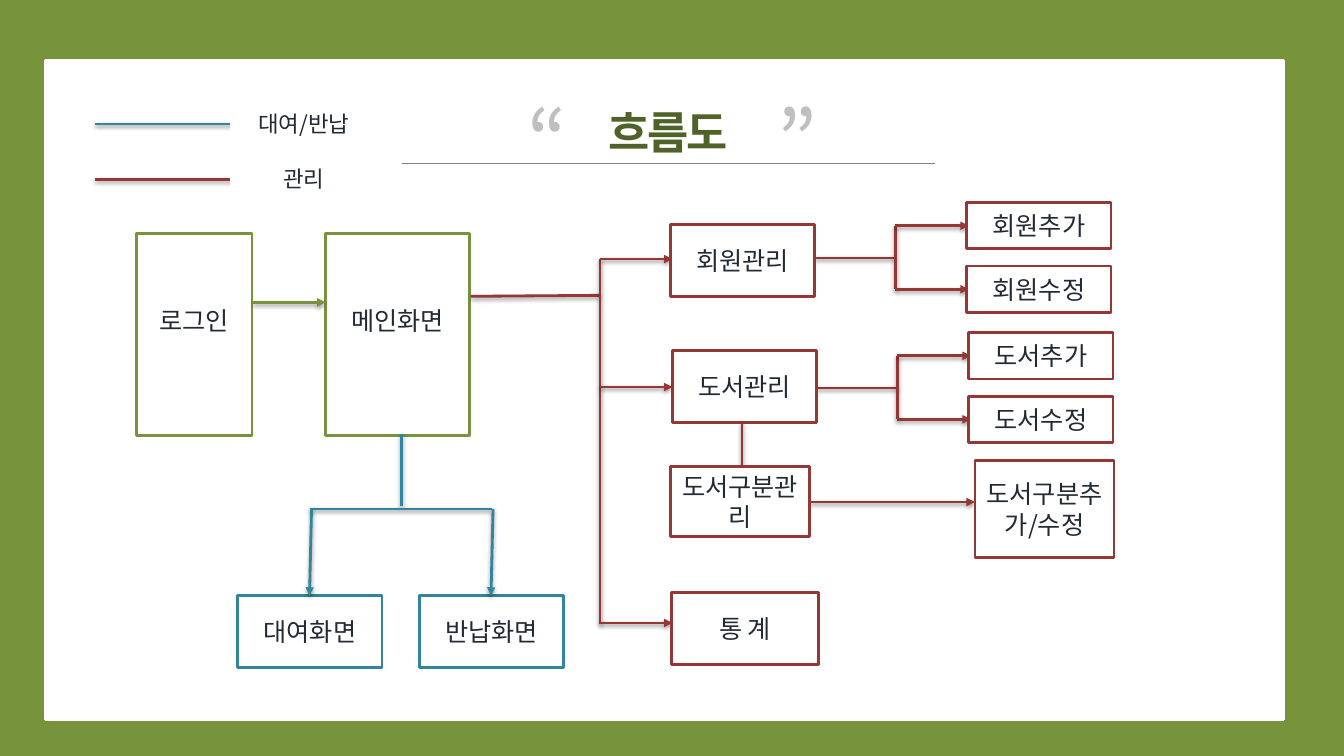
from dataclasses import dataclass

from lxml import etree
from pptx import Presentation
from pptx.dml.color import RGBColor
from pptx.enum.shapes import MSO_CONNECTOR as Connector, MSO_SHAPE as Preset
from pptx.enum.text import MSO_ANCHOR as Anchor, MSO_AUTO_SIZE as AutoSize, PP_ALIGN as Align
from pptx.oxml.ns import qn
from pptx.util import Inches, Pt


@dataclass(frozen=True)
class Theme:
    font: str = "Noto Sans CJK KR"
    green: str = "77933C"
    blue: str = "31859C"
    red: str = "953735"
    white: str = "FFFFFF"
    title: str = "4F6228"
    quote: str = "BFBFBF"
    rule: str = "808080"
    text: str = "222A35"
    quote_size: float = 60
    title_size: float = 32
    label_size: float = 18
    legend_size: float = 16
    line: float = 2
    thin_line: float = 0.75


@dataclass(frozen=True)
class Box:
    left: float
    top: float
    width: float
    height: float

    @property
    def right(self):
        return self.left + self.width

    @property
    def bottom(self):
        return self.top + self.height

    @property
    def middle(self):
        return self.top + self.height / 2

    def inner(self, x, y, width, height):
        return Box(self.left + x, self.top + y, width, height)

    def lengths(self):
        return [Inches(v) for v in (self.left, self.top, self.width, self.height)]


THEME = Theme()


def write(shape, text, size=THEME.label_size, color=THEME.text, bold=False,
          spacing=0, anchor=Anchor.MIDDLE, wrap=True, gap=0, bottom=0.05):
    """Write centred text, one paragraph per line."""
    frame = shape.text_frame
    frame.text = text
    frame.auto_size = AutoSize.NONE
    frame.word_wrap = wrap
    frame.vertical_anchor = anchor
    frame.margin_left = frame.margin_right = Inches(0.1)
    frame.margin_top, frame.margin_bottom = Inches(0.05), Inches(bottom)
    for index, paragraph in enumerate(frame.paragraphs):
        paragraph.alignment = Align.CENTER
        paragraph.space_before = Pt(gap if index else 0)
        for run in paragraph.runs:
            font = run.font
            font.name, font.size, font.bold = THEME.font, Pt(size), bold
            font.color.rgb = RGBColor.from_string(color)
            properties = run._r.get_or_add_rPr()
            if spacing:
                properties.set("spc", str(int(spacing * 100)))
            etree.SubElement(properties, qn("a:ea"), typeface=THEME.font)


def add_panel(slide, box, color, text="", **style):
    shape = slide.shapes.add_shape(Preset.RECTANGLE, *box.lengths())
    shape.shadow.inherit = False
    shape.fill.solid()
    shape.fill.fore_color.rgb = RGBColor.from_string(THEME.white)
    shape.line.color.rgb = RGBColor.from_string(color)
    shape.line.width = Pt(THEME.line)
    if text:
        write(shape, text, **style)


def add_line(slide, start, end, color, arrow=False, width=THEME.line, shadow=True):
    line = slide.shapes.add_connector(
        Connector.STRAIGHT, *[Inches(v) for v in (*start, *end)])
    line.line.color.rgb = RGBColor.from_string(color)
    line.line.width = Pt(width)
    if arrow:
        etree.SubElement(line.line._get_or_add_ln(), qn("a:tailEnd"), type="triangle")
    effects = etree.SubElement(line._element.spPr, qn("a:effectLst"))
    if shadow:
        outer = etree.SubElement(
            effects, qn("a:outerShdw"), blurRad=str(Pt(3.1)), dist=str(Pt(1.6)),
            dir="5400000", rotWithShape="0")
        black = etree.SubElement(outer, qn("a:srgbClr"), val="000000")
        etree.SubElement(black, qn("a:alpha"), val="38000")


# Title between quotation marks, with a rule below
def draw_heading(slide, box):
    for quote, x in (("“", 0.94), ("”", 3.42)):
        mark = slide.shapes.add_textbox(*box.inner(x, 0, 1, box.height).lengths())
        write(mark, quote, size=THEME.quote_size, color=THEME.quote, anchor=Anchor.TOP)
    add_line(slide, (box.left, box.top + 0.79), (box.right, box.top + 0.79),
             THEME.rule, width=THEME.thin_line, shadow=False)
    title = slide.shapes.title
    title.left, title.top, title.width, title.height = box.inner(1.91, 0.16, 1.46, 0.64).lengths()
    write(title, "흐름도", size=THEME.title_size, color=THEME.title, bold=True,
          spacing=-1.5, anchor=Anchor.TOP, wrap=False)


# Line colours and their meaning
def draw_legend(slide, box):
    for y, color in ((0.34, THEME.blue), (0.89, THEME.red)):
        add_line(slide, (box.left + 1.4, box.top + y), (box.left, box.top + y), color)
    add_panel(slide, box.inner(1.36, 0, 1.43, box.height), THEME.white,
              "대여/반납\n관리", size=THEME.legend_size, gap=20)


# Login and main screen
def draw_entry(slide, box):
    for text, x, width in (("로그인", 0, 1.15), ("메인화면", 1.88, 1.43)):
        add_panel(slide, box.inner(x, 0, width, box.height), THEME.green, text, bottom=0.33)
    y = box.top + 0.68
    add_line(slide, (box.left + 1.16, y), (box.left + 1.88, y), THEME.green, arrow=True)


# Lending and return screens, below the main screen
def draw_lending(slide, box):
    fork = box.top + 0.74
    add_line(slide, (box.left + 1.62, box.top), (box.left + 1.62, fork - 0.03), THEME.blue)
    add_line(slide, (box.left + 2.52, fork), (box.left + 0.71, fork), THEME.blue)
    for text, x in (("대여화면", 0), ("반납화면", 1.8)):
        screen = box.inner(x, 1.6, 1.43, 0.71)
        add_panel(slide, screen, THEME.blue, text)
        add_line(slide, (screen.left + 0.73, fork), (screen.left + 0.71, screen.top),
                 THEME.blue, arrow=True)


# Trunk from the main screen to the management screens
def draw_trunk(slide, box):
    add_line(slide, (box.right, box.top + 0.36), (box.left, box.top + 0.37), THEME.red)
    add_line(slide, (box.right, box.top), (box.right, box.bottom), THEME.red)
    for y in (0, 1.27, 3.61):
        add_line(slide, (box.right, box.top + y), (box.right + 0.72, box.top + y),
                 THEME.red, arrow=True)


# One management screen with its two actions
def draw_branch(slide, box, parent, actions, drop):
    trunk, stem = box.left + 2.23, box.top + 0.55
    targets = [box.inner(2.94, 0.63 * row, 1.43, 0.46) for row in range(len(actions))]
    add_line(slide, (trunk, stem), (box.left + 1.43, stem), THEME.red)
    add_line(slide, (trunk, targets[0].middle), (trunk, targets[-1].middle), THEME.red)
    for text, target in zip(actions, targets):
        add_line(slide, (trunk, target.middle), (target.left + 0.02, target.middle),
                 THEME.red, arrow=True)
        add_panel(slide, target, THEME.red, text)
    add_panel(slide, box.inner(0, drop, 1.43, 0.71), THEME.red, parent)


# Book categories, below book management
def draw_categories(slide, box):
    add_line(slide, (box.left + 0.71, box.top - 0.38), (box.left + 0.71, box.top + 0.05), THEME.red)
    add_line(slide, (box.left + 1.38, box.top + 0.41), (box.left + 3.02, box.top + 0.41),
             THEME.red, arrow=True)
    add_panel(slide, box.inner(0, 0.06, 1.38, 0.69), THEME.red, "도서구분관리")
    add_panel(slide, box.inner(3.02, 0, 1.38, box.height), THEME.red, "도서구분추가/수정")


def main():
    presentation = Presentation()
    presentation.slide_width, presentation.slide_height = Inches(13.33), Inches(7.5)
    slide = presentation.slides.add_slide(presentation.slide_layouts[5])
    slide.background.fill.solid()
    slide.background.fill.fore_color.rgb = RGBColor.from_string(THEME.green)

    add_panel(slide, Box(0.45, 0.6, 12.28, 6.54), THEME.white)
    # The title is raised above the white panel
    slide.shapes._spTree.append(slide.shapes.title._element)
    draw_heading(slide, Box(3.99, 0.83, 5.28, 1.11))
    draw_legend(slide, Box(0.94, 0.89, 2.79, 1.22))
    draw_entry(slide, Box(1.35, 2.32, 3.31, 2))
    draw_lending(slide, Box(2.36, 4.31, 3.23, 2.31))
    draw_trunk(slide, Box(4.67, 2.57, 1.28, 3.62))
    draw_branch(slide, Box(6.65, 2.01, 4.37, 1.09), "회원관리", ("회원추가", "회원수정"), drop=0.22)
    draw_branch(slide, Box(6.67, 3.3, 4.37, 1.09), "도서관리", ("도서추가", "도서수정"), drop=0.18)
    draw_categories(slide, Box(6.65, 4.57, 4.4, 0.96))
    add_panel(slide, Box(6.66, 5.88, 1.46, 0.71), THEME.red, "통 계")
    presentation.save("out.pptx")


if __name__ == "__main__":
    main()
